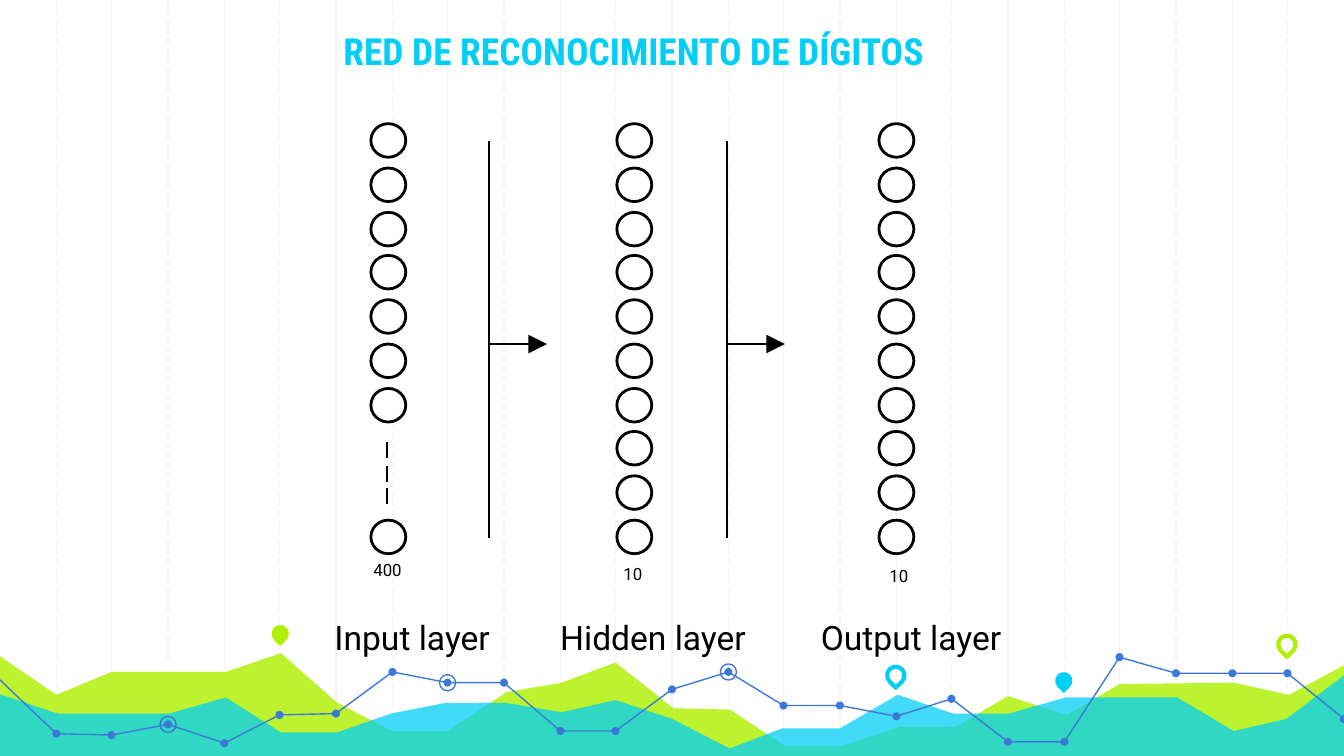
from dataclasses import dataclass

from lxml.etree import SubElement
from pptx import Presentation
from pptx.dml.color import RGBColor
from pptx.enum.dml import MSO_LINE
from pptx.enum.shapes import MSO_CONNECTOR, MSO_SHAPE
from pptx.enum.text import MSO_ANCHOR, PP_ALIGN
from pptx.oxml.ns import qn
from pptx.util import Emu, Pt

PX = 9144
WIDTH = 1000
GRID_COLUMNS = 24


@dataclass(frozen=True)
class Theme:
    black: str = "000000"
    white: str = "FFFFFF"
    grid: str = "F3F3F3"
    lime: str = "AFF000"
    cyan: str = "00CEF6"
    blue: str = "3C78D8"
    title_font: str = "Roboto Condensed"
    body_font: str = "Roboto"
    title_size: int = 20
    layer_size: int = 18
    count_size: int = 9
    thin: float = 0.75
    medium: float = 1.5
    thick: float = 2.25


THEME = Theme()

LIME_AREA = [
    (-2, 487), (42, 517), (83, 500), (168, 500), (209, 486), (251, 523),
    (292, 544), (333, 544), (377, 515), (418, 508), (458, 493), (501, 527),
    (543, 528), (584, 555), (626, 555), (670, 541), (711, 541), (750, 518),
    (794, 532), (833, 509), (918, 508), (959, 517), (1002, 494),
    (1001, 564), (-3, 564),
]
CYAN_AREA = [
    (-2, 516), (43, 531), (126, 531), (168, 519), (209, 545), (251, 545),
    (291, 531), (332, 523), (376, 523), (418, 530), (458, 521), (500, 535),
    (543, 557), (582, 542), (625, 542), (668, 517), (709, 531), (751, 531),
    (793, 519), (876, 519), (918, 544), (957, 535), (1002, 501),
    (1002, 564), (-3, 564),
]
TREND_HEIGHTS = [
    506, 546, 547, 539, 553, 532, 531, 500, 508, 508, 544, 544, 513,
    500, 525, 525, 533, 520, 552, 552, 489, 501, 501, 501, 535,
]
TREND_BREAKS = [(0, 11), (11, 20), (20, 24)]
RINGED_POINTS = [8, 3, 13]
PINS = [
    (202, 465, THEME.lime, True),
    (660, 496, THEME.cyan, False),
    (785, 500, THEME.cyan, True),
    (951, 473, THEME.lime, False),
]

NEURON_TOP, NEURON_BOTTOM, NEURON_ROWS = 92, 387, 10
LAYERS = [
    (276, [0, 1, 2, 3, 4, 5, 6, 9], "Input layer", (239, 162), "400", (268, 409)),
    (459, range(NEURON_ROWS), "Hidden layer", (407, 187), "10", (454, 412)),
    (654, range(NEURON_ROWS), "Output layer", (601, 187), "10", (652, 413)),
]


def px(length):
    return Emu(length * PX)


def color(value):
    return RGBColor.from_string(value)


def grid_x(column):
    return round(column * WIDTH / GRID_COLUMNS)


def paint(shape, fill=None, line=None, weight=THEME.thin):
    shape.shadow.inherit = False
    if fill:
        shape.fill.solid()
        shape.fill.fore_color.rgb = color(fill)
    else:
        shape.fill.background()
    if line:
        shape.line.color.rgb = color(line)
        shape.line.width = Pt(weight)
    else:
        shape.line.fill.background()


def add_preset(slide, kind, left, top, width, height, **style):
    shape = slide.shapes.add_shape(kind, px(left), px(top), px(width), px(height))
    paint(shape, **style)
    return shape


def add_circle(slide, center, diameter, **style):
    left, top = (value - diameter // 2 for value in center)
    add_preset(slide, MSO_SHAPE.OVAL, left, top, diameter, diameter, **style)


def add_path(slide, points, closed, **style):
    builder = slide.shapes.build_freeform(*points[0], scale=PX)
    builder.add_line_segments(points[1:], close=closed)
    shape = builder.convert_to_shape()
    paint(shape, **style)
    return shape


def add_area(slide, points, fill, opacity):
    shape = add_path(slide, points, True, fill=fill)
    fill_color = shape.fill._xPr.find(qn("a:solidFill"))[0]
    SubElement(fill_color, qn("a:alpha"), val=str(opacity * 1000))


def add_line(slide, start, end, line_color, dashed=False, arrow=False):
    connector = slide.shapes.add_connector(
        MSO_CONNECTOR.STRAIGHT, *(px(value) for value in start + end))
    connector.line.color.rgb = color(line_color)
    connector.line.width = Pt(THEME.thin)
    if dashed:
        connector.line.dash_style = MSO_LINE.DASH
    if arrow:
        SubElement(connector.line._get_or_add_ln(), qn("a:tailEnd"),
                   type="triangle", w="lg", len="lg")
    SubElement(connector._element.spPr, qn("a:effectLst"))


def add_text(slide, text, box, size, font=THEME.body_font, text_color=THEME.black):
    frame = slide.shapes.add_textbox(*(px(value) for value in box)).text_frame
    frame.word_wrap = True
    frame.margin_left = frame.margin_right = px(10)
    frame.margin_top = frame.margin_bottom = px(10)
    paragraph = frame.paragraphs[0]
    paragraph.text = text
    paragraph.font.size = Pt(size)
    paragraph.font.name = font
    paragraph.font.color.rgb = color(text_color)
    return frame


def add_grid(slide):
    for column in range(1, GRID_COLUMNS):
        x = grid_x(column)
        add_line(slide, (x, 0), (x, 564), THEME.grid, dashed=column % 2 == 1)


def add_pin(slide, left, top, pin_color, filled):
    style = {"fill": pin_color} if filled else {"line": pin_color, "weight": THEME.thick}
    pin = add_preset(slide, MSO_SHAPE.TEAR, left, top, 13, 13, **style)
    pin.rotation = 135


def add_trend(slide):
    points = [(grid_x(column), y) for column, y in enumerate(TREND_HEIGHTS)]
    for first, last in TREND_BREAKS:
        add_path(slide, points[first:last + 1], False, line=THEME.blue)
    for point in points[1:]:
        add_circle(slide, point, 6, fill=THEME.blue)
    for index in RINGED_POINTS:
        add_circle(slide, points[index], 12, line=THEME.blue)


def add_layer(slide, left, rows, name, name_span, count, count_corner):
    step = (NEURON_BOTTOM - NEURON_TOP) / (NEURON_ROWS - 1)
    for row in rows:
        add_preset(slide, MSO_SHAPE.FLOWCHART_CONNECTOR, left,
                   round(NEURON_TOP + row * step), 26, 25,
                   fill=THEME.white, line=THEME.black, weight=THEME.medium)
    name_left, name_width = name_span
    add_text(slide, name, (name_left, 449, name_width, 42), THEME.layer_size)
    add_text(slide, count, (*count_corner, 43, 32), THEME.count_size)


def add_link(slide, x):
    add_line(slide, (x, 256), (x + 43, 256), THEME.black, arrow=True)
    add_line(slide, (x, 105), (x, 400), THEME.black)


def main():
    presentation = Presentation()
    presentation.slide_width = px(WIDTH)
    presentation.slide_height = Emu(px(WIDTH) * 9 // 16)
    slide = presentation.slides.add_slide(presentation.slide_layouts[6])

    add_grid(slide)
    add_area(slide, LIME_AREA, THEME.lime, 82)
    add_area(slide, CYAN_AREA, THEME.cyan, 74)
    add_trend(slide)
    for pin in PINS:
        add_pin(slide, *pin)

    title = add_text(slide, "RED DE RECONOCIMIENTO DE DÍGITOS", (212, -4, 519, 68),
                     THEME.title_size, THEME.title_font, THEME.cyan)
    title.vertical_anchor = MSO_ANCHOR.BOTTOM
    title.paragraphs[0].alignment = PP_ALIGN.CENTER
    title.paragraphs[0].font.bold = True

    for layer in LAYERS:
        add_layer(slide, *layer)
    for x in (364, 541):
        add_link(slide, x)
    for top in (329, 347, 363):
        add_line(slide, (288, top), (288, top + 12), THEME.black)

    presentation.save("out.pptx")


if __name__ == "__main__":
    main()
